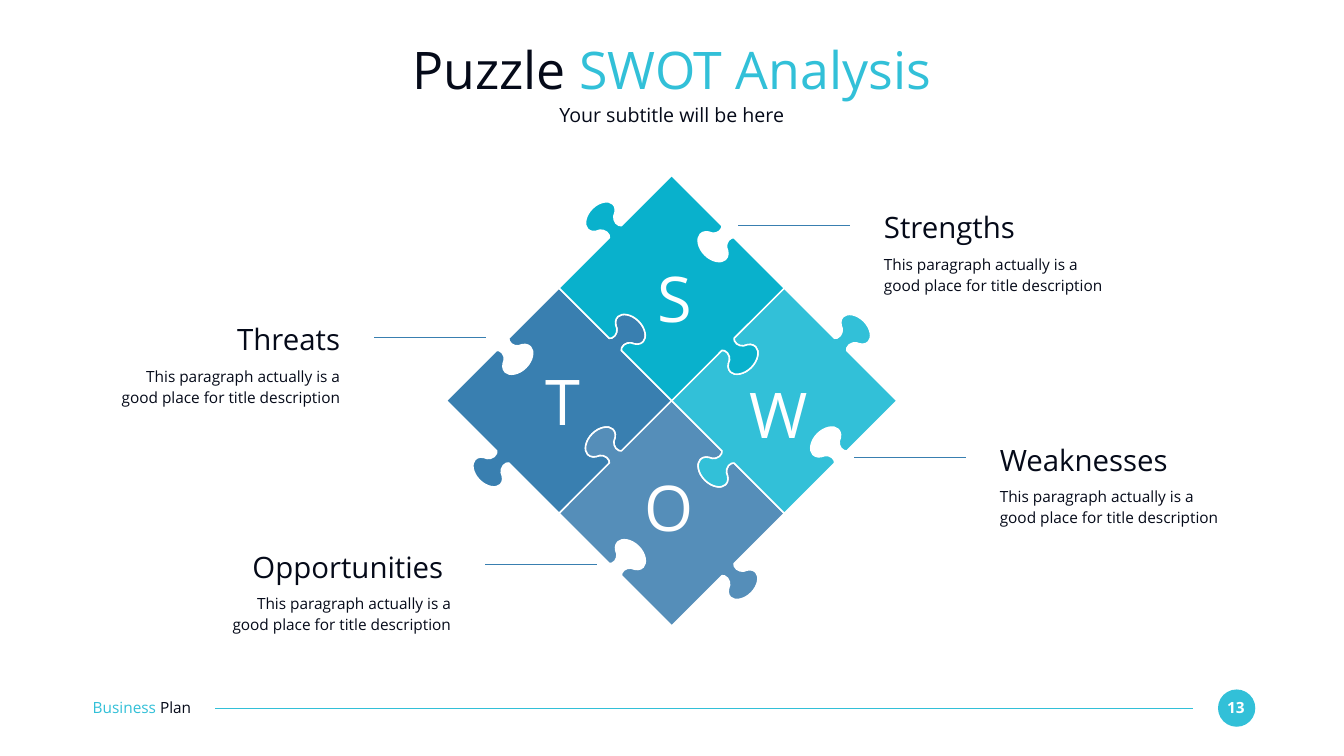
from dataclasses import dataclass

from lxml import etree
from pptx import Presentation
from pptx import util as u
from pptx.dml.color import RGBColor
from pptx.enum import shapes, text
from pptx.oxml.ns import qn


@dataclass(frozen=True)
class Theme:
    font: str = "Open Sans"
    ink: str = "050A19"
    white: str = "FFFFFF"
    accent: str = "32C0D8"
    strengths: str = "09B1CC"
    opportunities: str = "558EB9"
    threats: str = "397FB0"
    title: int = 74
    subtitle: int = 28
    letter: int = 90
    heading: int = 42
    small: int = 22


THEME = Theme()
LEFT, CENTER, RIGHT = text.PP_ALIGN.LEFT, text.PP_ALIGN.CENTER, text.PP_ALIGN.RIGHT
MIDDLE, TOP = text.MSO_ANCHOR.MIDDLE, text.MSO_ANCHOR.TOP

PUZZLE_X, PUZZLE_Y = 13.33, 7.95
HALF = 4.47 / 2  # half the diagonal of one piece

# Half of a knob as (along the edge, outward) from the edge's middle:
# a start point, then three Bezier points per curve, up to the knob's tip.
HALF_KNOB = [
    (-0.12, 0),
    (-0.1, 0.01), (-0.09, 0.04), (-0.09, 0.08),
    (-0.09, 0.12), (-0.12, 0.15), (-0.14, 0.17),
    (-0.21, 0.2), (-0.25, 0.24), (-0.25, 0.3),
    (-0.25, 0.38), (-0.14, 0.46), (0, 0.46),
]
KNOB = HALF_KNOB + [(-along, out) for along, out in reversed(HALF_KNOB[:-1])]


def piece_outline(cx, cy, first_is_tab):
    """Bezier points of a diamond whose edges alternate tab and socket."""
    points = []
    corner_x, corner_y = 0, -1
    for edge in range(4):
        next_x, next_y = corner_y, -corner_x
        out_x, out_y = corner_x + next_x, corner_y + next_y
        along_x, along_y = next_x - corner_x, next_y - corner_y
        sign = 1 if (edge % 2 == 0) == first_is_tab else -1
        points.append((cx + HALF * corner_x, cy + HALF * corner_y))
        for along, out in KNOB:
            outward = HALF / 2 + sign * out
            points.append((cx + along * along_x + outward * out_x,
                           cy + along * along_y + outward * out_y))
        corner_x, corner_y = next_x, next_y
    return [(u.Inches(x), u.Inches(y)) for x, y in points]


def round_knobs(piece):
    """Turn the three segments of each knob curve into one Bezier curve."""
    segments = list(piece._element.iter(qn("a:lnTo")))
    edge_length = len(KNOB) + 1
    for edge_start in range(0, len(segments), edge_length):
        knob = segments[edge_start + 1:edge_start + len(KNOB)]
        for first, second, third in zip(knob[::3], knob[1::3], knob[2::3]):
            curve = etree.Element(qn("a:cubicBezTo"))
            first.addprevious(curve)
            for segment in (first, second, third):
                curve.append(segment[0])
                segment.getparent().remove(segment)


def add_piece(group, cx, cy, first_is_tab, color):
    start, *rest = piece_outline(cx, cy, first_is_tab)
    builder = group.shapes.build_freeform(*start)
    builder.add_line_segments(rest, close=True)
    piece = builder.convert_to_shape()
    round_knobs(piece)
    piece.shadow.inherit = False
    piece.fill.solid()
    piece.fill.fore_color.rgb = RGBColor.from_string(color)
    piece.line.color.rgb = RGBColor.from_string(THEME.white)
    piece.line.width = u.Pt(2.25)


def add_text(slide, box, *runs, size, align=LEFT, anchor=MIDDLE, bold=False,
             spacing=None):
    """Each run is a (wording, color) pair."""
    frame = slide.shapes.add_textbox(*map(u.Inches, box)).text_frame
    frame.word_wrap = True
    frame.vertical_anchor = anchor
    frame.margin_left = frame.margin_right = 0
    frame.margin_top = frame.margin_bottom = 0
    paragraph = frame.paragraphs[0]
    paragraph.alignment = align
    if spacing:
        paragraph.line_spacing = spacing
    for wording, color in runs:
        run = paragraph.add_run()
        run.text = wording
        run.font.name = THEME.font
        run.font.size = u.Pt(size)
        run.font.bold = bold
        run.font.color.rgb = RGBColor.from_string(color)


def add_rule(slide, x1, x2, y, color):
    rule = slide.shapes.add_connector(
        shapes.MSO_CONNECTOR.STRAIGHT, *map(u.Inches, (x1, y, x2, y)))
    rule.line.color.rgb = RGBColor.from_string(color)
    rule.line.width = u.Pt(1.5)
    etree.SubElement(rule._element.spPr, qn("a:effectLst"))


def add_callout(slide, heading, x, y, align):
    width, gap, rule_length = 4.54, 0.67, 2.22
    add_text(slide, (x, y, width, 0.71), (heading, THEME.ink),
             size=THEME.heading, align=align)
    add_text(slide, (x, y + 0.85, width, 0.92),
             ("This paragraph actually is a good place for title description",
              THEME.ink),
             size=THEME.small, align=align, anchor=TOP, spacing=1.15)
    near = x + width + gap if align == RIGHT else x - gap
    far = near + rule_length if align == RIGHT else near - rule_length
    add_rule(slide, far, near, y + 0.32, THEME.threats)


def add_header(slide):
    add_text(slide, (1.83, 0.73, 23, 1.27), ("Puzzle ", THEME.ink),
             ("SWOT Analysis", THEME.accent), size=THEME.title, align=CENTER)
    add_text(slide, (1.83, 2.03, 23, 0.49),
             ("Your subtitle will be here", THEME.ink),
             size=THEME.subtitle, align=CENTER)


def add_footer(slide):
    badge = slide.shapes.add_shape(
        shapes.MSO_SHAPE.OVAL, *map(u.Inches, (24.17, 13.68, 0.74, 0.74)))
    badge.shadow.inherit = False
    badge.fill.solid()
    badge.fill.fore_color.rgb = RGBColor.from_string(THEME.accent)
    badge.line.fill.background()
    add_text(slide, (24.23, 13.85, 0.59, 0.37), ("13", THEME.white),
             size=THEME.small, align=CENTER, bold=True)
    add_rule(slide, 23.67, 4.27, 14.05, THEME.accent)
    add_text(slide, (1.84, 13.84, 2.59, 0.37), ("Business ", THEME.accent),
             ("Plan", THEME.ink), size=THEME.small)


def main():
    deck = Presentation()
    deck.slide_width, deck.slide_height = u.Inches(26.67), u.Inches(15)
    slide = deck.slides.add_slide(deck.slide_layouts[6])
    add_footer(slide)
    add_header(slide)

    puzzle = slide.shapes.add_group_shape()
    for column, row, color in (
            (-1, 0, THEME.threats), (0, 1, THEME.opportunities),
            (1, 0, THEME.accent), (0, -1, THEME.strengths)):
        add_piece(puzzle, PUZZLE_X + column * HALF, PUZZLE_Y + row * HALF,
                  column == 0, color)

    for heading, x, y, align in (
            ("Threats", 2.21, 6.37, RIGHT),
            ("Opportunities ", 4.41, 10.88, RIGHT),
            ("Strengths", 17.54, 4.15, LEFT),
            ("Weaknesses", 19.84, 8.76, LEFT)):
        add_callout(slide, heading, x, y, align)

    for letter, x, y in (("W", 14.4, 7.44), ("S", 12.35, 5.14),
                         ("T", 10.12, 7.19), ("O", 12.22, 9.3)):
        add_text(slide, (x, y, 2.1, 1.51), (letter, THEME.white),
                 size=THEME.letter, align=CENTER)
    deck.save("out.pptx")


if __name__ == "__main__":
    main()
